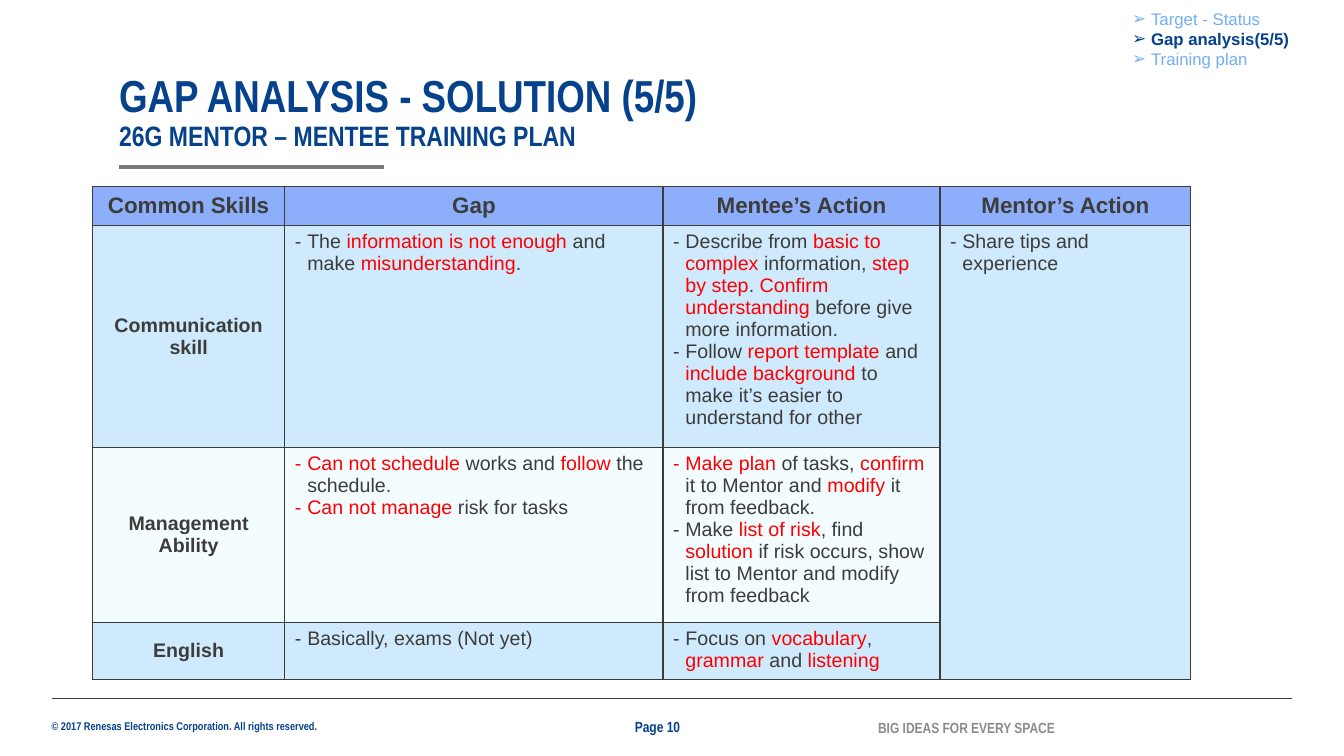
from dataclasses import dataclass

from lxml.etree import SubElement
from pptx import Presentation
from pptx.dml.color import RGBColor
from pptx.enum.shapes import MSO_CONNECTOR
from pptx.enum.text import MSO_ANCHOR, MSO_AUTO_SIZE, PP_ALIGN
from pptx.oxml.ns import qn
from pptx.util import Cm, Pt


@dataclass(frozen=True)
class Theme:
    navy: str = "06418C"
    sky: str = "73AEF9"
    ink: str = "3C3C3B"
    red: str = "FF0000"
    rule: str = "797979"
    slogan: str = "8B8B89"
    header: str = "8DAFFB"
    bands: tuple = ("CFEAFD", "F3FDFF")
    narrow: str = "Arial Narrow"
    sans: str = "Arial"
    title: float = 32
    subtitle: float = 20
    heading: float = 16
    body: float = 14
    agenda: float = 12
    footer: float = 10.5
    copyright: float = 8


# Asterisks enclose the words shown in red.
HEADERS = ["Common Skills", "Gap", "Mentee’s Action", "Mentor’s Action"]
SKILLS = [
    ("Communication skill",
     ["The *information is not enough* and make *misunderstanding*."],
     ["Describe from *basic to complex* information, *step by step*. "
      "*Confirm understanding* before give more information.",
      "Follow *report template* and *include background* to make it’s easier "
      "to understand for other"]),
    ("Management Ability",
     ["*Can not schedule* works and *follow* the schedule.",
      "*Can not manage* risk for tasks"],
     ["*Make plan* of tasks, *confirm* it to Mentor and *modify* it from feedback.",
      "Make *list of risk*, find *solution* if risk occurs, show list to Mentor "
      "and modify from feedback"]),
    ("English",
     ["Basically, exams (Not yet)"],
     ["Focus on *vocabulary*, *grammar *and* listening*"]),
]
MENTOR_ACTION = ["Share tips and experience"]
AGENDA = ["Target - Status", "Gap analysis(5/5)", "Training plan"]
CURRENT_TOPIC = AGENDA[1]


class SlideBuilder:
    def __init__(self, page, theme):
        self.page = page
        self.theme = theme

    def style(self, span, size, color, bold=False, font=None):
        span.font.name = font or self.theme.sans
        span.font.size = Pt(size)
        span.font.bold = bold
        span.font.color.rgb = RGBColor.from_string(color)

    def bullet(self, para, mark, indent):
        properties = para._p.get_or_add_pPr()
        properties.set("marL", str(Cm(indent)))
        properties.set("indent", str(-Cm(indent)))
        SubElement(properties, qn("a:buFont")).set("typeface", self.theme.sans)
        SubElement(properties, qn("a:buChar")).set("char", mark)

    def text(self, text, left, top, width, height, size, color,
             bold=True, font=None, anchor=MSO_ANCHOR.TOP, wrap=True):
        box = self.page.shapes.add_textbox(Cm(left), Cm(top), Cm(width), Cm(height))
        frame = box.text_frame
        frame.margin_left = frame.margin_right = 0
        frame.margin_top = frame.margin_bottom = 0
        frame.word_wrap = wrap
        frame.auto_size = MSO_AUTO_SIZE.SHAPE_TO_FIT_TEXT
        frame.vertical_anchor = anchor
        frame.text = text
        for para in frame.paragraphs:
            for span in para.runs:
                self.style(span, size, color, bold, font)
        return frame

    def line(self, left, right, y, color, weight):
        line = self.page.shapes.add_connector(
            MSO_CONNECTOR.STRAIGHT, Cm(left), Cm(y), Cm(right), Cm(y))
        line.line.color.rgb = RGBColor.from_string(color)
        line.line.width = Pt(weight)
        SubElement(line._element.spPr, qn("a:effectLst"))

    def table(self, left, top, widths, heights):
        """Add a table whose rows grow from the given heights to fit their text."""
        frame = self.page.shapes.add_table(
            len(heights), len(widths), Cm(left), Cm(top), Cm(sum(widths)), Cm(sum(heights)))
        table = frame.table
        table.first_row = table.horz_banding = False
        for column, width in zip(table.columns, widths):
            column.width = Cm(width)
        for row, height in zip(table.rows, heights):
            row.height = Cm(height)
        return table

    def paint(self, cell, fill):
        properties = cell._tc.get_or_add_tcPr()
        for side in ("lnL", "lnR", "lnT", "lnB"):
            border = SubElement(properties, qn(f"a:{side}"), w=str(Pt(1)))
            solid = SubElement(border, qn("a:solidFill"))
            SubElement(solid, qn("a:srgbClr"), val=self.theme.ink)
        cell.fill.solid()
        cell.fill.fore_color.rgb = RGBColor.from_string(fill)

    def label(self, cell, text, size):
        cell.text_frame.text = text
        cell.vertical_anchor = MSO_ANCHOR.MIDDLE
        para = cell.text_frame.paragraphs[0]
        para.alignment = PP_ALIGN.CENTER
        self.style(para.runs[0], size, self.theme.ink, bold=True)

    def points(self, cell, items):
        """Fill a cell with dashed items, turning *marked* words red."""
        frame = cell.text_frame
        for index, item in enumerate(items):
            para = frame.add_paragraph() if index else frame.paragraphs[0]
            self.bullet(para, "-", 0.31)
            for part, words in enumerate(item.split("*")):
                if words:
                    span = para.add_run()
                    span.text = words
                    color = self.theme.red if part % 2 else self.theme.ink
                    self.style(span, self.theme.body, color)


def add_heading(slide, theme):
    title = slide.text("GAP ANALYSIS - SOLUTION (5/5)\v26G MENTOR – MENTEE TRAINING PLAN",
                       3, 1.83, 23.67, 2.01, theme.title, theme.navy,
                       font=theme.narrow, anchor=MSO_ANCHOR.BOTTOM)
    title.paragraphs[0].line_spacing = 0.9
    title.paragraphs[0].runs[1].font.size = Pt(theme.subtitle)
    slide.line(3, 9.68, 4.2, theme.rule, 3)


def add_agenda(slide, theme):
    agenda = slide.text("\n".join(AGENDA), 28.53, 0.22, 4.47, 1.55,
                        theme.agenda, theme.sky, bold=False)
    for para in agenda.paragraphs:
        slide.bullet(para, "➢", 0.48)
        if para.text == CURRENT_TOPIC:
            slide.style(para.runs[0], theme.agenda, theme.navy, bold=True)


def add_skills(slide, theme):
    table = slide.table(2.33, 4.7, [4.85, 9.53, 6.98, 6.32], [0.99] + [1.3] * len(SKILLS))
    table.cell(1, 3).merge(table.cell(len(SKILLS), 3))
    for column, header in enumerate(HEADERS):
        slide.label(table.cell(0, column), header, theme.heading)
        slide.paint(table.cell(0, column), theme.header)
    for row, (skill, gap, action) in enumerate(SKILLS, start=1):
        slide.label(table.cell(row, 0), skill, theme.body)
        slide.points(table.cell(row, 1), gap)
        slide.points(table.cell(row, 2), action)
        for column in range(3):
            slide.paint(table.cell(row, column), theme.bands[(row - 1) % 2])
        slide.paint(table.cell(row, 3), theme.bands[0])
    slide.points(table.cell(1, 3), MENTOR_ACTION)


def add_footer(slide, theme):
    slide.line(1.3, 32.56, 17.6, theme.ink, 0.5)
    slide.text("© 2017 Renesas Electronics Corporation. All rights reserved.",
               1.3, 18.13, 6.81, 0.33, theme.copyright, theme.navy,
               font=theme.narrow, wrap=False)
    slide.text("Page 10", 16, 18.08, 1.85, 0.46, theme.footer, theme.navy,
               font=theme.narrow, anchor=MSO_ANCHOR.MIDDLE)
    slide.text("BIG IDEAS FOR EVERY SPACE", 22.13, 18.11, 4.57, 0.46, theme.footer,
               theme.slogan, font=theme.narrow, anchor=MSO_ANCHOR.MIDDLE)


def main():
    deck = Presentation()
    deck.slide_width, deck.slide_height = Cm(33.87), Cm(19.05)
    theme = Theme()
    slide = SlideBuilder(deck.slides.add_slide(deck.slide_layouts[6]), theme)
    for add_part in (add_footer, add_heading, add_skills, add_agenda):
        add_part(slide, theme)
    deck.save("out.pptx")


if __name__ == "__main__":
    main()
